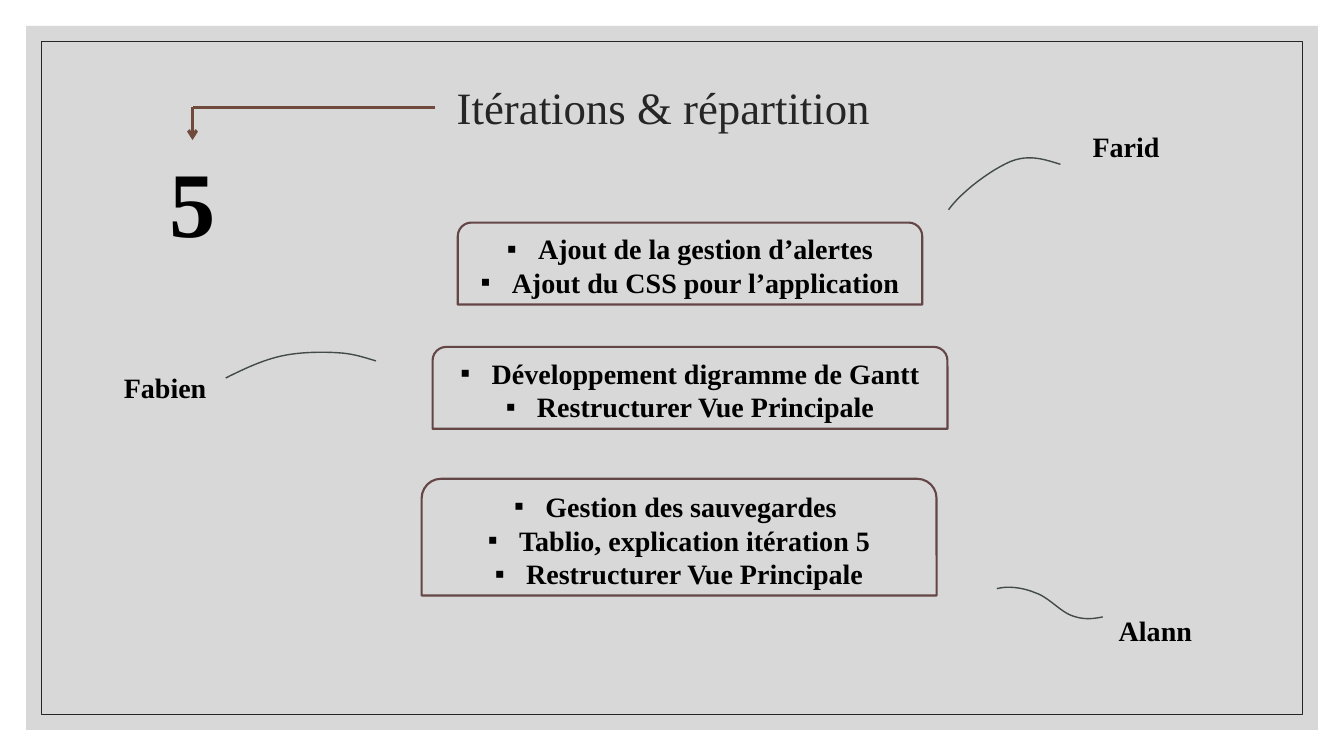
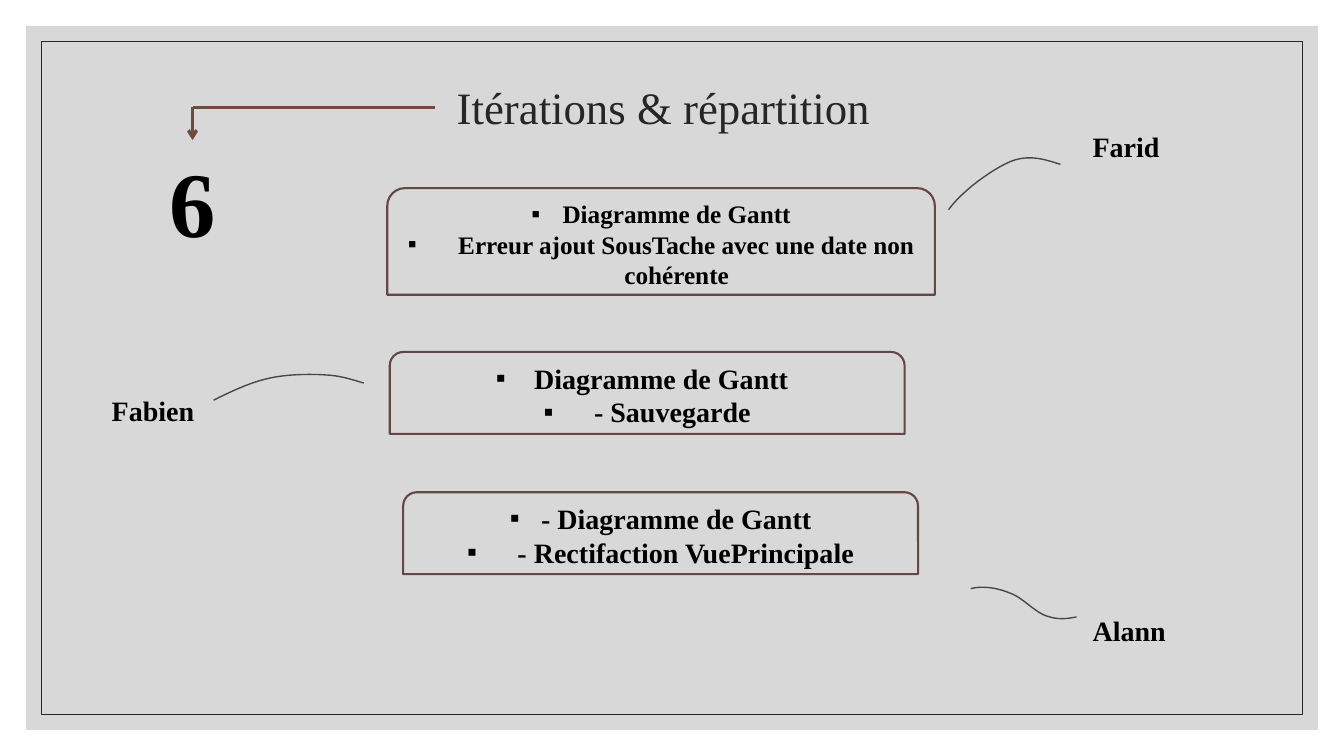
import pptx
import pptx.dml.color
import pptx.enum.shapes
import pptx.enum.text
import pptx.oxml
import pptx.oxml.ns
import pptx.util

RGBColor = pptx.dml.color.RGBColor
PANEL_GREY = RGBColor(0xBF, 0xBF, 0xBF)
INK = RGBColor(0x26, 0x26, 0x26)
BLACK = RGBColor(0, 0, 0)
BOX_BROWN = RGBColor(0x64, 0x46, 0x46)
ARROW_BROWN = RGBColor(0x70, 0x4A, 0x3D)
CURVE_GREY = RGBColor(0x42, 0x4A, 0x4A)

COLUMNS, ROWS = 160, 90
SLIDE_WIDTH = pptx.util.Inches(13.33)
SLIDE_HEIGHT = pptx.util.Inches(7.5)
FONT_NAME = "Times New Roman"
TITLE_FORMAT = {"name": FONT_NAME, "size": pptx.util.Pt(32), "bold": False}
NUMBER_FORMAT = {"name": FONT_NAME, "size": pptx.util.Pt(66), "bold": True}
LABEL_FORMAT = {"name": FONT_NAME, "size": pptx.util.Pt(20), "bold": True}
SMALL_FORMAT = {**LABEL_FORMAT, "size": pptx.util.Pt(18)}

PANEL_INSET, FRAME_INSET = 3.1, 4.92
TITLE_BOX = (51.84, 9.6, 53.64, 6.36)
NUMBER_BOX = (18.96, 16.68, 7.92, 14.52)
LABEL_HEIGHT = 5.3
TWO_LINES = 9.75
TASK_WIDTH = 61.3

LABEL_WIDTHS = {"Farid": 11.3, "Fabien": 15.24, "Alann": 11.3}
CURVES = {
    "Farid": [(-2.64, 4.68), (-4.56, 4.08), (-6.36, 3.48), (-8.52, 4.32),
              (-10.8, 5.28), (-14.28, 7.8), (-15.96, 10.08)],
    "Fabien": [(31.2, -0.6), (29.88, -0.96), (28.68, -1.44), (26.76, -1.56),
               (24.96, -1.68), (22.32, -1.68), (20.04, -1.2),
               (17.76, -0.72), (15.48, 0.36), (13.32, 1.44)],
    "Alann": [(-0.72, 0.96), (-1.8, 1.2), (-3, 1.32), (-4.32, 0.84),
              (-5.76, 0.36), (-7.2, -1.44), (-8.76, -1.92),
              (-10.2, -2.52), (-12, -2.76), (-13.32, -2.4)],
}

ITERATIONS = [
    {
        "number": "5",
        "tasks": [
            ((54.5, 26.5, 55.3, TWO_LINES), LABEL_FORMAT,
             ["Ajout de la gestion d’alertes", "Ajout du CSS pour l’application"]),
            ((51.5, 41.3, TASK_WIDTH, TWO_LINES), LABEL_FORMAT,
             ["Développement digramme de Gantt", "Restructurer Vue Principale"]),
            ((50.2, 57, TASK_WIDTH, 13.9), LABEL_FORMAT,
             ["Gestion des sauvegardes ", "Tablio, explication itération 5",
              "Restructurer Vue Principale"]),
        ],
        "people": {"Farid": (128.88, 14.88), "Alann": (132, 72.48), "Fabien": (13.56, 43.56)},
    },
    {
        "number": "6",
        "tasks": [
            ((46.1, 22.4, 65.2, 12.7), SMALL_FORMAT,
             ["Diagramme de Gantt", "\tErreur ajout SousTache avec une date non cohérente"]),
            ((46.4, 41.9, TASK_WIDTH, TWO_LINES), LABEL_FORMAT,
             [" Diagramme de Gantt\t", "\t- Sauvegarde"]),
            ((48, 58.6, TASK_WIDTH, TWO_LINES), LABEL_FORMAT,
             ["- Diagramme de Gantt", "\t- Rectifaction VuePrincipale"]),
        ],
        "people": {"Farid": (128.88, 14.88), "Alann": (128.88, 72.48), "Fabien": (12.12, 46.2)},
    },
]


def grid(column, row):
    return round(SLIDE_WIDTH * column / COLUMNS), round(SLIDE_HEIGHT * row / ROWS)


def place(box):
    return grid(*box[:2]) + grid(*box[2:])


def add_xml(parent, tag, **attributes):
    child = pptx.oxml.parse_xml(f"<a:{tag} {pptx.oxml.ns.nsdecls('a')}/>")
    for name, value in attributes.items():
        child.set(name, value)
    parent.append(child)


def set_line(shape, color, width):
    shape.line.color.rgb = color
    shape.line.width = pptx.util.Pt(width)


def write(paragraph, text, format_values, color=BLACK):
    run = paragraph.add_run()
    run.text = text
    for name, value in format_values.items():
        setattr(run.font, name, value)
    run.font.color.rgb = color


def add_label(slide, box, text, format_values):
    label = slide.shapes.add_textbox(*place(box))
    label.text_frame.word_wrap = True
    write(label.text_frame.paragraphs[0], text, format_values)
    return label


def add_backdrop(slide, layout):
    for position, inset in enumerate((PANEL_INSET, FRAME_INSET)):
        box = (inset, inset, COLUMNS - 2 * inset, ROWS - 2 * inset)
        shape = slide.shapes.add_shape(pptx.enum.shapes.MSO_SHAPE.RECTANGLE, *place(box))
        shape.shadow.inherit = False
        if inset == PANEL_INSET:
            shape.fill.solid()
            shape.fill.fore_color.rgb = PANEL_GREY
            add_xml(shape.element.xpath("p:spPr/a:solidFill/a:srgbClr")[0], "alpha", val="60000")
            shape.line.fill.background()
        else:
            shape.fill.background()
            set_line(shape, INK, 0.5)
        shape.element.xpath("p:nvSpPr/p:cNvPr")[0].set("id", str(20 + position))
        layout.shapes.element.insert(2 + position, shape.element)


def add_title(slide):
    title = slide.shapes.title
    title.left, title.top, title.width, title.height = place(TITLE_BOX)
    frame = title.text_frame
    frame.word_wrap = True
    frame.auto_size = pptx.enum.text.MSO_AUTO_SIZE.NONE
    frame.vertical_anchor = pptx.enum.text.MSO_ANCHOR.TOP
    paragraph = frame.paragraphs[0]
    paragraph.alignment = pptx.enum.text.PP_ALIGN.LEFT
    paragraph.line_spacing = 0.9
    write(paragraph, " Itérations & répartition", TITLE_FORMAT, INK)
    return title


def add_elbow_arrow(slide, title, number):
    corner = (number.left + number.width // 2, title.top + title.height // 2)
    straight = pptx.enum.shapes.MSO_CONNECTOR.STRAIGHT
    across = slide.shapes.add_connector(straight, title.left, corner[1], *corner)
    across.begin_connect(title, 1)
    down = slide.shapes.add_connector(straight, *corner, corner[0], number.top)
    down.end_connect(number, 0)
    for connector in (across, down):
        set_line(connector, ARROW_BROWN, 2.25)
        add_xml(connector.element.xpath("p:spPr")[0], "effectLst")
    add_xml(down.element.xpath("p:spPr/a:ln")[0], "tailEnd", type="arrow")


def add_tasks(slide, box, format_values, tasks):
    shape = slide.shapes.add_shape(
        pptx.enum.shapes.MSO_SHAPE.ROUND_2_SAME_RECTANGLE, *place(box))
    shape.shadow.inherit = False
    shape.fill.background()
    set_line(shape, BOX_BROWN, 1.5)
    frame = shape.text_frame
    frame.word_wrap = True
    frame.auto_size = pptx.enum.text.MSO_AUTO_SIZE.SHAPE_TO_FIT_TEXT
    frame.vertical_anchor = pptx.enum.text.MSO_ANCHOR.MIDDLE
    indent = pptx.util.Inches(0.31)
    for index, task in enumerate(tasks):
        paragraph = frame.add_paragraph() if index else frame.paragraphs[0]
        paragraph.alignment = pptx.enum.text.PP_ALIGN.CENTER
        write(paragraph, task, format_values)
    for properties in shape.element.xpath("p:txBody/a:p/a:pPr"):
        properties.set("marL", str(indent))
        properties.set("indent", str(-indent))
        add_xml(properties, "buFont", typeface=FONT_NAME)
        add_xml(properties, "buChar", char="▪")


def bezier_points(controls, steps=12):
    points = [controls[0]]
    for start in range(0, len(controls) - 1, 3):
        segment = controls[start:start + 4]
        for step in range(1, steps + 1):
            t = step / steps
            weights = ((1 - t) ** 3, 3 * t * (1 - t) ** 2, 3 * t * t * (1 - t), t ** 3)
            points.append(tuple(
                sum(weight * point[axis] for weight, point in zip(weights, segment))
                for axis in (0, 1)))
    return points


def add_person(slide, name, origin):
    left, top = origin
    points = [grid(left + x, top + y) for x, y in bezier_points(CURVES[name])]
    builder = slide.shapes.build_freeform(*points[0])
    builder.add_line_segments(points[1:], close=False)
    curve = builder.convert_to_shape()
    curve.shadow.inherit = False
    curve.fill.background()
    set_line(curve, CURVE_GREY, 1)
    add_label(slide, (left, top, LABEL_WIDTHS[name], LABEL_HEIGHT), name, LABEL_FORMAT)


def add_iteration(slide, iteration):
    title = add_title(slide)
    number = add_label(slide, NUMBER_BOX, iteration["number"], NUMBER_FORMAT)
    for box, format_values, tasks in iteration["tasks"]:
        add_tasks(slide, box, format_values, tasks)
    for name, origin in iteration["people"].items():
        add_person(slide, name, origin)
    add_elbow_arrow(slide, title, number)


def main():
    presentation = pptx.Presentation()
    presentation.slide_width = SLIDE_WIDTH
    presentation.slide_height = SLIDE_HEIGHT
    layout = presentation.slide_layouts.get_by_name("Title Only")
    for index, iteration in enumerate(ITERATIONS):
        slide = presentation.slides.add_slide(layout)
        if index == 0:
            add_backdrop(slide, layout)
        add_iteration(slide, iteration)
    presentation.save("out.pptx")


if __name__ == "__main__":
    main()
